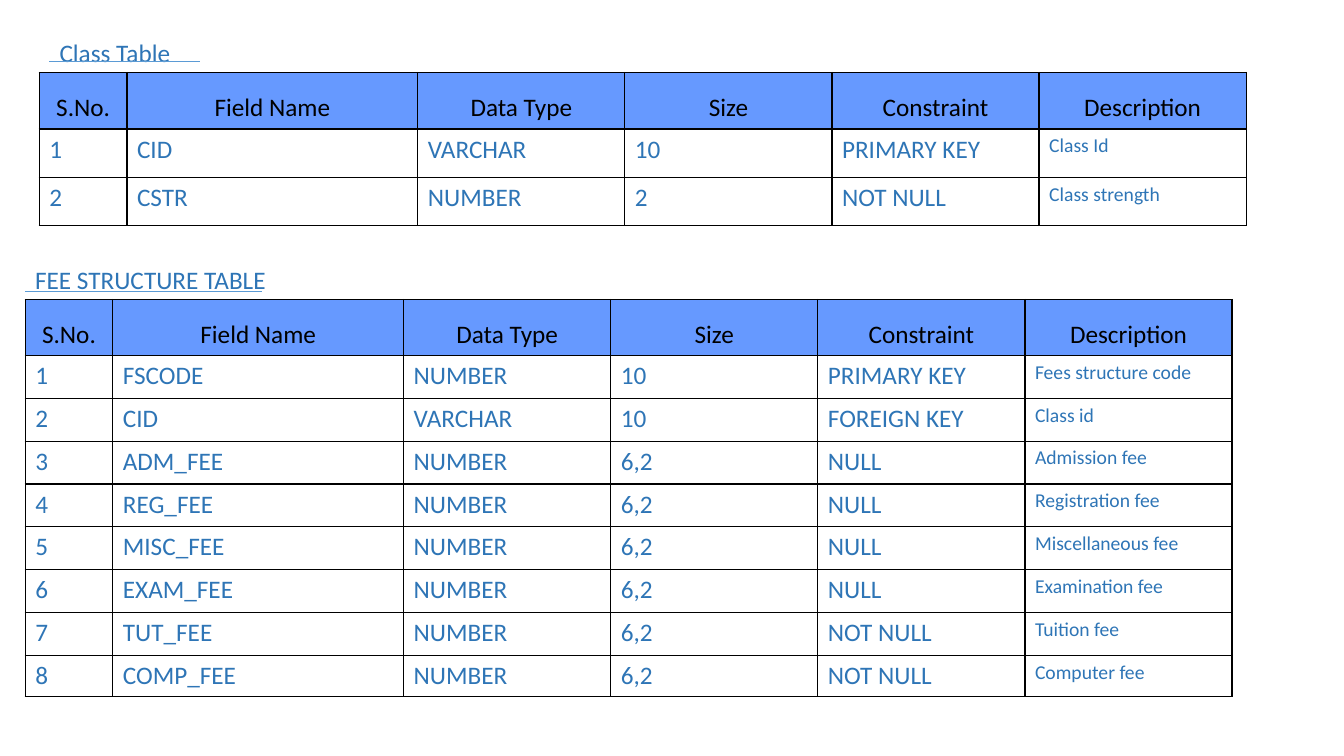
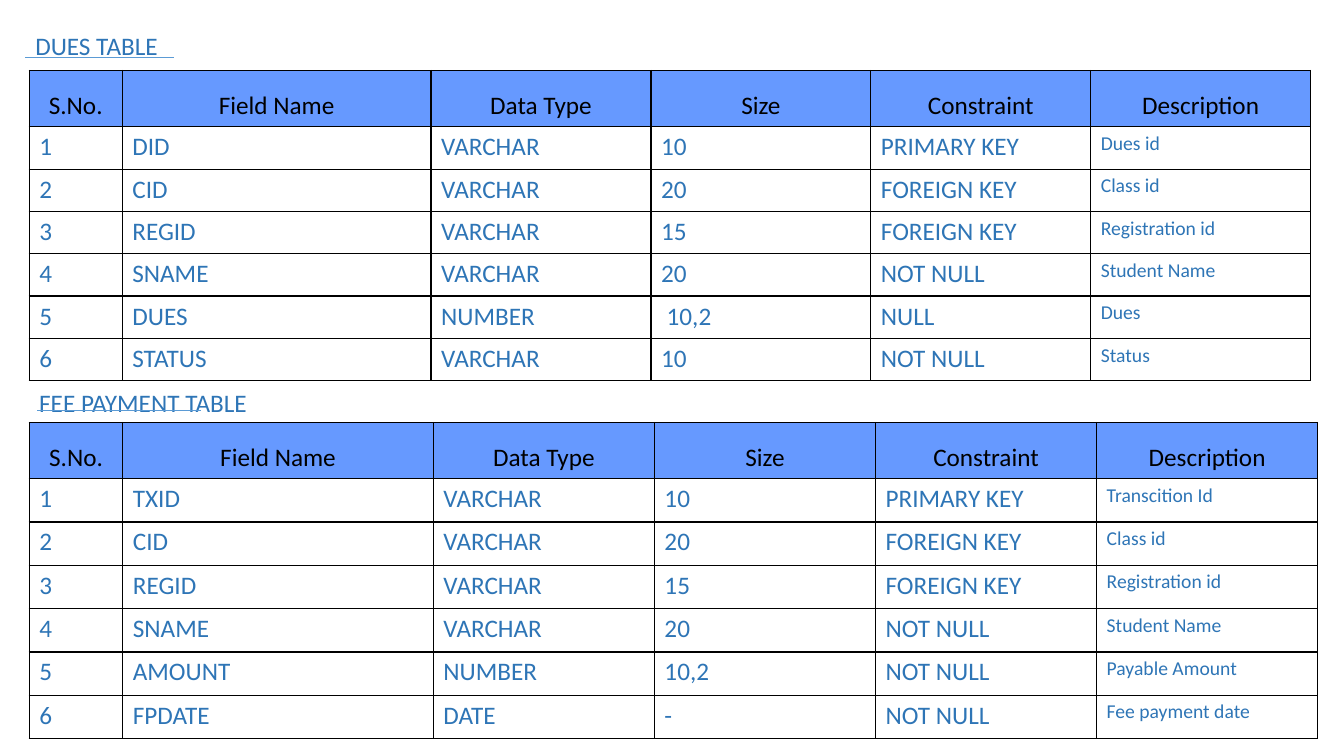
from lxml import etree
from pptx import Presentation
from pptx import util as u
from pptx.dml import color
from pptx.enum import shapes, text
from pptx.oxml import ns

FONT = "Calibri"
BLUE, BLACK, HEADER_FILL, RULE = "2E75B6", "000000", "6699FF", "5B9BD5"
HEADERS = ["S.No.", "Field Name", "Data Type", "Size", "Constraint", "Description"]
COLUMN_SHARES = [0.0726, 0.241] + [0.1716] * 4


def rgb(value):
    return color.RGBColor.from_string(value)


def format_text(frame, size, tint, align=text.PP_ALIGN.LEFT, spacing=1.0):
    frame.vertical_anchor = text.MSO_ANCHOR.TOP
    para = frame.paragraphs[0]
    para.alignment, para.line_spacing = align, spacing
    para.font.name, para.font.size = FONT, u.Pt(size)
    para.font.color.rgb = rgb(tint)


# Each table: caption, caption place, rule (left, right, y),
# table (left, top, width), row heights, rows without their number
slides = [
    [
        ("Class Table", (0.49, 0.32), (0.49, 1.98, 0.61), (0.39, 0.72, 11.97),
         [0.56] + [0.48] * 2, [
             ("CID", "VARCHAR", "10", "PRIMARY KEY", "Class Id"),
             ("CSTR", "NUMBER", "2", "NOT NULL", "Class strength"),
         ]),
        ("FEE STRUCTURE TABLE", (0.25, 2.57), (0.25, 2.6, 2.89), (0.25, 2.97, 11.97),
         [0.55] + [0.425] * 7 + [0.39], [
             ("FSCODE", "NUMBER", "10", "PRIMARY KEY", "Fees structure code"),
             ("CID", "VARCHAR", "10", "FOREIGN KEY", "Class id"),
             ("ADM_FEE", "NUMBER", "6,2", "NULL", "Admission fee"),
             ("REG_FEE", "NUMBER", "6,2", "NULL", "Registration fee"),
             ("MISC_FEE", "NUMBER", "6,2", "NULL", "Miscellaneous fee"),
             ("EXAM_FEE", "NUMBER", "6,2", "NULL", "Examination fee"),
             ("TUT_FEE", "NUMBER", "6,2", "NOT NULL", "Tuition fee"),
             ("COMP_FEE", "NUMBER", "6,2", "NOT NULL", "Computer fee"),
         ]),
    ],
    [
        ("DUES TABLE", (0.25, 0.25), (0.25, 1.73, 0.57), (0.29, 0.7, 12.71),
         [0.55] + [0.42] * 6, [
             ("DID", "VARCHAR", "10", "PRIMARY KEY", "Dues id"),
             ("CID", "VARCHAR", "20", "FOREIGN KEY", "Class id"),
             ("REGID", "VARCHAR", "15", "FOREIGN KEY", "Registration id"),
             ("SNAME", "VARCHAR", "20", "NOT NULL", "Student Name"),
             ("DUES", "NUMBER", " 10,2", "NULL", "Dues"),
             ("STATUS", "VARCHAR", "10", "NOT NULL", "Status"),
         ]),
        ("FEE PAYMENT TABLE", (0.29, 3.79), (0.37, 1.99, 4.07), (0.29, 4.19, 12.78),
         [0.55] + [0.43] * 6, [
             ("TXID", "VARCHAR", "10", "PRIMARY KEY", "Transcition Id"),
             ("CID", "VARCHAR", "20", "FOREIGN KEY", "Class id"),
             ("REGID", "VARCHAR", "15", "FOREIGN KEY", "Registration id"),
             ("SNAME", "VARCHAR", "20", "NOT NULL", "Student Name"),
             ("AMOUNT", "NUMBER", "10,2", "NOT NULL", "Payable Amount"),
             ("FPDATE", "DATE", "-", "NOT NULL", "Fee payment date"),
         ]),
    ],
]

deck = Presentation()
deck.slide_width, deck.slide_height = u.Inches(13.33), u.Inches(7.5)

for tables in slides:
    page = deck.slides.add_slide(deck.slide_layouts[5])
    for order, (caption, place, rule, area, heights, rows) in enumerate(tables):
        # Caption: the first one is the slide title
        spot = [u.Inches(n) for n in (*place, 2.79, 0.4)]
        if order == 0:
            box = page.shapes.title
            box.left, box.top, box.width, box.height = spot
        else:
            box = page.shapes.add_textbox(*spot)
        box.text_frame.text = caption
        box.text_frame.word_wrap = True
        box.text_frame.auto_size = text.MSO_AUTO_SIZE.NONE
        format_text(box.text_frame, 18, BLUE)

        # Rule under the caption
        left, right, y = [u.Inches(n) for n in rule]
        line = page.shapes.add_connector(shapes.MSO_CONNECTOR.STRAIGHT, left, y, right, y)
        line.line.color.rgb = rgb(RULE)
        line.line.width = u.Pt(0.5)
        etree.SubElement(line._element.spPr, ns.qn("a:effectLst"))

        # Table grid
        left, top, width = area
        grid = page.shapes.add_table(
            len(heights), len(HEADERS), u.Inches(left), u.Inches(top),
            u.Inches(width), u.Inches(sum(heights))).table
        grid.first_row = grid.horz_banding = False
        for column, share in zip(grid.columns, COLUMN_SHARES):
            column.width = u.Inches(width * share)
        for row, height in zip(grid.rows, heights):
            row.height = u.Inches(height)

        # Table cells
        numbered = [(str(number), *row) for number, row in enumerate(rows, 1)]
        for r, values in enumerate([HEADERS] + numbered):
            for c, value in enumerate(values):
                cell = grid.cell(r, c)
                cell.text = value
                if r == 0:
                    cell.fill.solid()
                    cell.fill.fore_color.rgb = rgb(HEADER_FILL)
                    format_text(cell.text_frame, 18, BLACK, text.PP_ALIGN.CENTER, 1.5)
                else:
                    cell.fill.background()
                    format_text(cell.text_frame, 14 if c == 5 else 18, BLUE)
                properties = cell._tc.get_or_add_tcPr()
                for index, side in enumerate(("lnL", "lnR", "lnT", "lnB")):
                    border = etree.Element(ns.qn("a:" + side), w=str(u.Pt(1)))
                    fill = etree.SubElement(border, ns.qn("a:solidFill"))
                    etree.SubElement(fill, ns.qn("a:srgbClr"), val=BLACK)
                    properties.insert(index, border)

deck.save("out.pptx")
